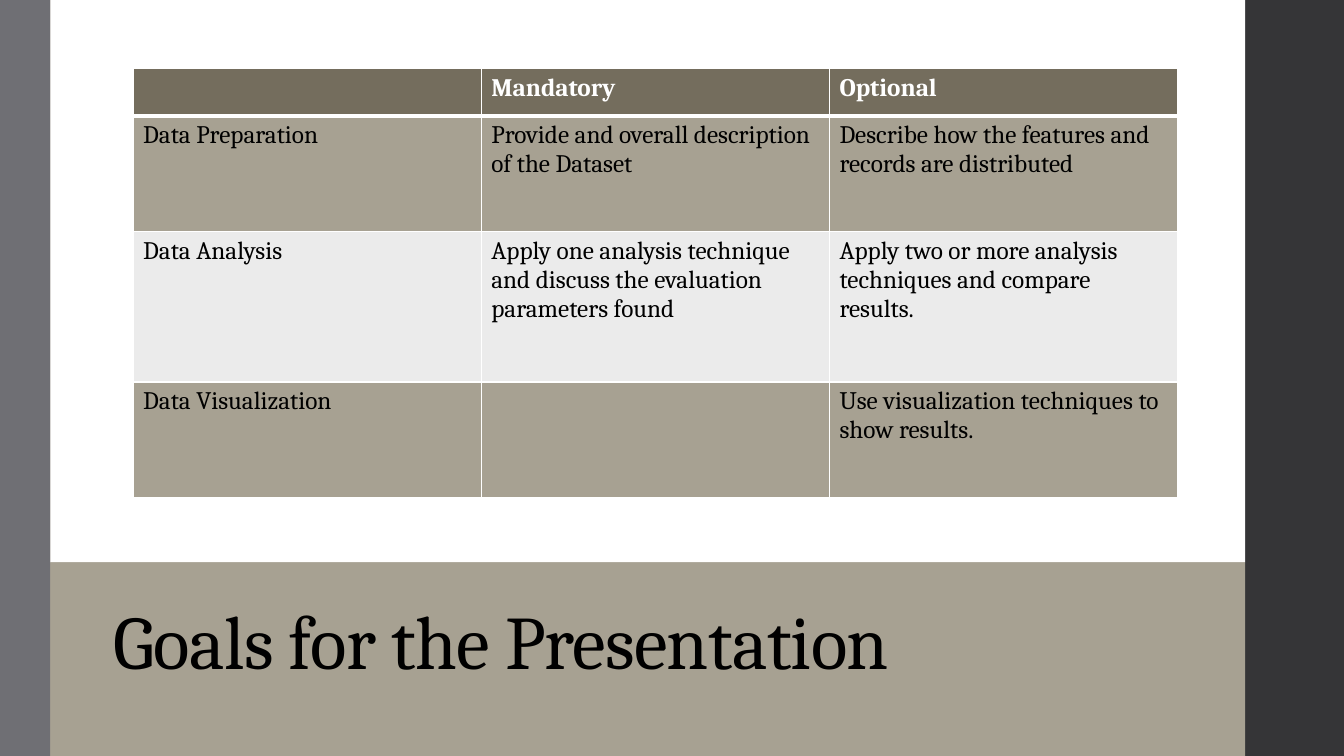
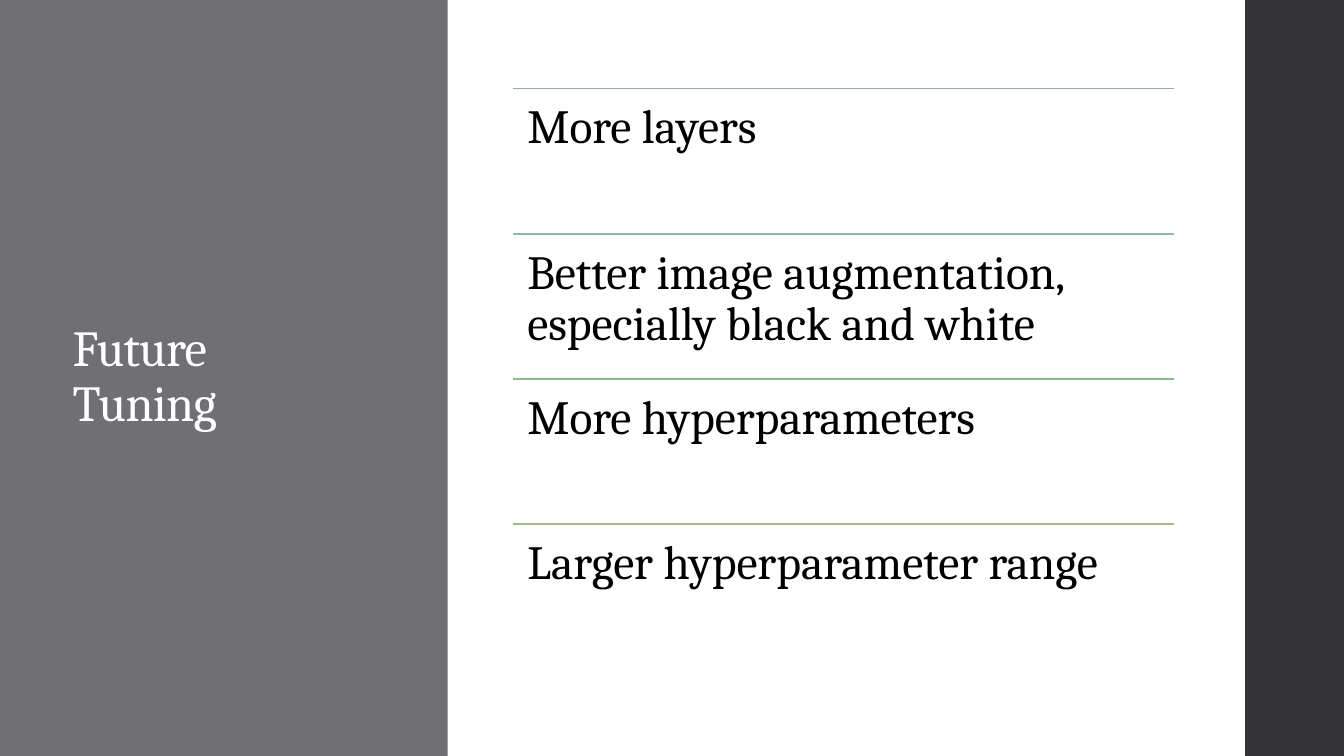
from lxml import etree
from pptx import Presentation, util as u
from pptx.dml.color import RGBColor
from pptx.enum import shapes, text
from pptx.oxml import ns

COLORS = {
    "white": "FFFFFF",
    "black": "000000",
    "gray": "6F6F74",
    "dark": "353537",
    "sand": "A7A192",
    "header": "746D5D",
    "pale": "EBEBEB",
}
RULE_COLORS = ["92A9B9", "8FB8AD", "8CB88E", "A7B789"]
FONT = "Cambria"
SLIDE_WIDTH, SLIDE_HEIGHT = 13.33, 7.5
EDGE_LEFT = 12.35
TITLE_ONLY = 5

GOALS = [
    ["", "Mandatory", "Optional"],
    [
        "Data Preparation",
        "Provide and overall description of the Dataset",
        "Describe how the features and records are distributed",
    ],
    [
        "Data Analysis",
        "Apply one analysis technique and discuss the evaluation parameters found",
        "Apply two or more analysis techniques and compare results.",
    ],
    ["Data Visualization", "", "Use visualization techniques to show results."],
]
GOAL_HEIGHTS = [0.47, 1.15, 1.49, 1.15]
TUNING_STEPS = [
    "More layers",
    "Better image augmentation, especially black and white",
    "More hyperparameters",
    "Larger hyperparameter range",
]


def rgb(name):
    return RGBColor.from_string(COLORS.get(name, name))


def inches(*lengths):
    return [u.Inches(length) for length in lengths]


def style_text(frame, size, color, bold=False, spacing=None):
    for para in frame.paragraphs:
        para.alignment = text.PP_ALIGN.LEFT
        if spacing:
            para.line_spacing = spacing
        para.font.size = u.Pt(size)
        for span in para.runs:
            span.font.name = FONT
            span.font.size = u.Pt(size)
            span.font.bold = bold
            span.font.color.rgb = rgb(color)


def add_band(page, box, color):
    band = page.shapes.add_shape(shapes.MSO_SHAPE.RECTANGLE, *inches(*box))
    band.shadow.inherit = False
    band.fill.solid()
    band.fill.fore_color.rgb = rgb(color)
    band.line.fill.background()


def add_page(deck, background, bands):
    page = deck.slides.add_slide(deck.slide_layouts[TITLE_ONLY])
    page.background.fill.solid()
    page.background.fill.fore_color.rgb = rgb(background)
    edge = (EDGE_LEFT, 0, SLIDE_WIDTH - EDGE_LEFT, SLIDE_HEIGHT)
    for box, color in [(edge, "dark")] + bands:
        add_band(page, box, color)
    return page


def set_title(page, box, words, size, color, anchor, spacing):
    title = page.shapes.title
    title.left, title.top, title.width, title.height = inches(*box)
    title.element.getparent().append(title.element)
    frame = title.text_frame
    frame.text = words
    frame.word_wrap = True
    frame.auto_size = text.MSO_AUTO_SIZE.NONE
    frame.vertical_anchor = anchor
    style_text(frame, size, color, spacing=spacing)
    for span in frame.paragraphs[0].runs:
        span.font._element.set("spc", "-50")


def set_borders(cell, widths):
    properties = cell._tc.get_or_add_tcPr()
    for side, width in widths.items():
        line = etree.SubElement(properties, ns.qn(f"a:ln{side}"), w=str(u.Pt(width)))
        fill = etree.SubElement(line, ns.qn("a:solidFill"))
        etree.SubElement(fill, ns.qn("a:srgbClr"), val=COLORS["white"])


def add_goal_table(page, box):
    frame = page.shapes.add_table(len(GOALS), len(GOALS[0]), *inches(*box))
    table = frame.table
    for column in table.columns:
        column.width = u.Inches(box[2] / len(GOALS[0]))
    for row, height in zip(table.rows, GOAL_HEIGHTS):
        row.height = u.Inches(height)
    for row_index, entries in enumerate(GOALS):
        is_header = row_index == 0
        row_fill = "header" if is_header else ("pale", "sand")[row_index % 2]
        widths = {
            "L": 1,
            "R": 1,
            "T": 3 if row_index == 1 else 1,
            "B": 3 if is_header else 1,
        }
        for column_index, entry in enumerate(entries):
            cell = table.cell(row_index, column_index)
            cell.text_frame.text = entry
            style_text(cell.text_frame, 18, "white" if is_header else "black", bold=is_header)
            set_borders(cell, widths)
            cell.fill.solid()
            cell.fill.fore_color.rgb = rgb(row_fill)


def add_ruled_list(page, box, entries):
    left, top, width, height = box
    step = height / len(entries)
    group = page.shapes.add_group_shape()
    for index, (entry, color) in enumerate(zip(entries, RULE_COLORS)):
        row_top = top + index * step
        rule = group.shapes.add_connector(
            shapes.MSO_CONNECTOR.STRAIGHT, *inches(left, row_top, left + width, row_top)
        )
        rule.line.color.rgb = rgb(color)
        rule.line.width = u.Pt(1.1)
        etree.SubElement(rule._element.spPr, ns.qn("a:effectLst"))
        item = group.shapes.add_textbox(*inches(left, row_top, width, step))
        frame = item.text_frame
        frame.word_wrap = True
        frame.margin_left = frame.margin_right = u.Inches(0.14)
        frame.margin_top = frame.margin_bottom = u.Inches(0.14)
        frame.text = entry
        style_text(frame, 34, "black", spacing=0.9)


def build_goals(deck):
    left, split = 0.5, 5.58
    width = EDGE_LEFT - left
    bands = [
        ((0, 0, left, SLIDE_HEIGHT), "gray"),
        ((left, 0, width, split), "white"),
        ((left, split, width, SLIDE_HEIGHT - split), "sand"),
    ]
    page = add_page(deck, "sand", bands)
    set_title(
        page, (1.03, 5.67, 11.11, 1.18), "Goals for the Presentation",
        54, "black", text.MSO_ANCHOR.BOTTOM, 0.85,
    )
    add_goal_table(page, (1.32, 0.68, 10.36, sum(GOAL_HEIGHTS)))


def build_tuning(deck):
    page = add_page(deck, "white", [((0, 0, 4.44, SLIDE_HEIGHT), "gray")])
    set_title(
        page, (0.62, 0.91, 2.97, 5.67), "Future Tuning",
        36, "white", text.MSO_ANCHOR.MIDDLE, 0.9,
    )
    add_ruled_list(page, (5.09, 0.88, 6.55, 5.76), TUNING_STEPS)


def main():
    deck = Presentation()
    deck.slide_width, deck.slide_height = inches(SLIDE_WIDTH, SLIDE_HEIGHT)
    build_goals(deck)
    build_tuning(deck)
    deck.save("out.pptx")


if __name__ == "__main__":
    main()
